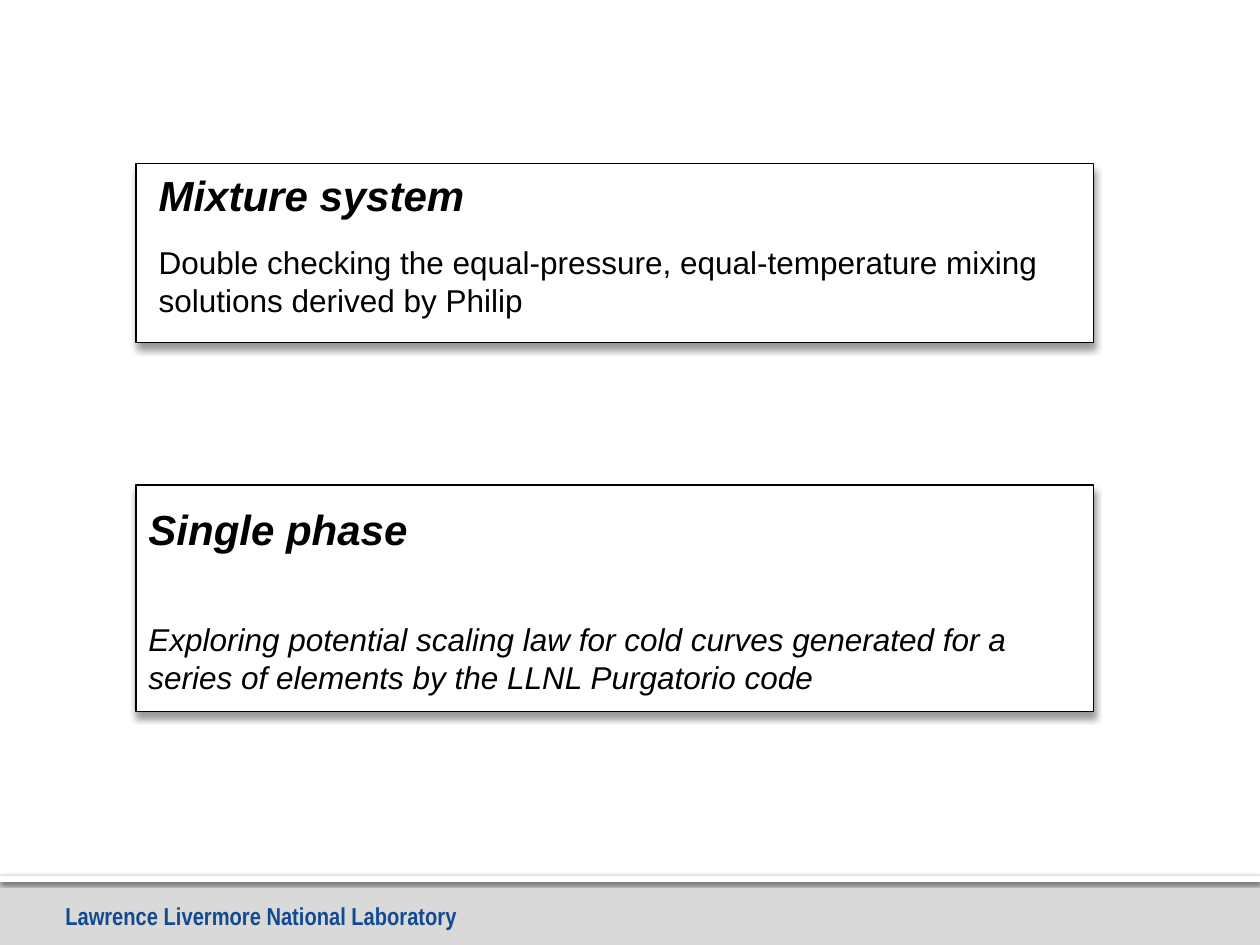
from lxml import etree
from pptx import Presentation
from pptx.dml.color import RGBColor
from pptx.enum.shapes import MSO_SHAPE
from pptx.enum.text import MSO_AUTO_SIZE
from pptx.oxml.ns import qn
from pptx.util import Inches, Pt

RECT = MSO_SHAPE.RECTANGLE
FIT_SHAPE = MSO_AUTO_SIZE.SHAPE_TO_FIT_TEXT
COLORS = {"black": "000000", "white": "FFFFFF", "gray": "D9D9D9", "blue": "124A91"}
PANEL_LEFT, PANEL_WIDTH = 1.08, 7.6
FOOTER_TOP = 6.95


def rgb(name):
    return RGBColor.from_string(COLORS[name])


def add_shadow(sp, alpha, blur, dist):
    """Cast a black shadow straight down; alpha in percent, lengths in points."""
    sp.shadow.inherit = False
    effects = sp._element.spPr.find(qn("a:effectLst"))
    shadow = etree.SubElement(effects, qn("a:outerShdw"), blurRad=str(Pt(blur)),
                              dist=str(Pt(dist)), dir="5400000", rotWithShape="0")
    color = etree.SubElement(shadow, qn("a:srgbClr"), val=COLORS["black"])
    etree.SubElement(color, qn("a:alpha"), val=str(alpha * 1000))


def add_box(slide, left, top, width, height, fill, shadow, line=None):
    sp = slide.shapes.add_shape(RECT, Inches(left), Inches(top),
                                Inches(width), Inches(height))
    sp.fill.solid()
    sp.fill.fore_color.rgb = rgb(fill)
    if line:
        sp.line.color.rgb = rgb(line)
        sp.line.width = Pt(0.75)
    else:
        sp.line.fill.background()
    add_shadow(sp, *shadow)


def add_text(slide, left, top, width, height, text, size, font="Arial",
             color="black", bold=False, italic=False, wrap=True):
    sp = slide.shapes.add_textbox(Inches(left), Inches(top),
                                  Inches(width), Inches(height))
    tf = sp.text_frame
    tf.word_wrap = wrap
    tf.auto_size = FIT_SHAPE
    p = tf.paragraphs[0]
    p.text = text
    p.font.name = font
    p.font.size = Pt(size)
    p.font.bold = bold
    p.font.italic = italic
    p.font.color.rgb = rgb(color)


def add_panel(slide, top, height):
    add_box(slide, PANEL_LEFT, top, PANEL_WIDTH, height, "white", (40, 4, 3), "black")


def add_heading(slide, left, top, width, text):
    add_text(slide, left, top, width, 0.5, text, 24, bold=True, italic=True, wrap=False)


def add_footer(slide):
    add_box(slide, 0, FOOTER_TOP, 10, 0.55, "gray", (38, 3.1, 2))
    add_box(slide, 0, FOOTER_TOP, 10, 0.05, "white", (60, 2.5, 0.8))
    add_text(slide, 0.42, 7.1, 3.34, 0.34, "Lawrence Livermore National Laboratory",
             14, "Arial Narrow", "blue", bold=True)


def main():
    prs = Presentation()
    prs.slide_width, prs.slide_height = Inches(10), Inches(7.5)
    slide = prs.slides.add_slide(prs.slide_layouts[6])

    add_footer(slide)

    add_panel(slide, 1.3, 1.42)
    add_heading(slide, 1.16, 1.3, 2.65, "Mixture system")
    add_text(slide, 1.16, 1.88, 7.68, 0.71,
             "Double checking the equal-pressure, equal-temperature mixing "
             "solutions derived by Philip", 18)

    add_panel(slide, 3.85, 1.8)
    add_heading(slide, PANEL_LEFT, 3.95, 2.28, "Single phase")
    add_text(slide, PANEL_LEFT, 4.87, 7.05, 0.71,
             "Exploring potential scaling law for cold curves generated for a "
             "series of elements by the LLNL Purgatorio code", 18, italic=True)

    prs.save("out.pptx")


if __name__ == "__main__":
    main()
